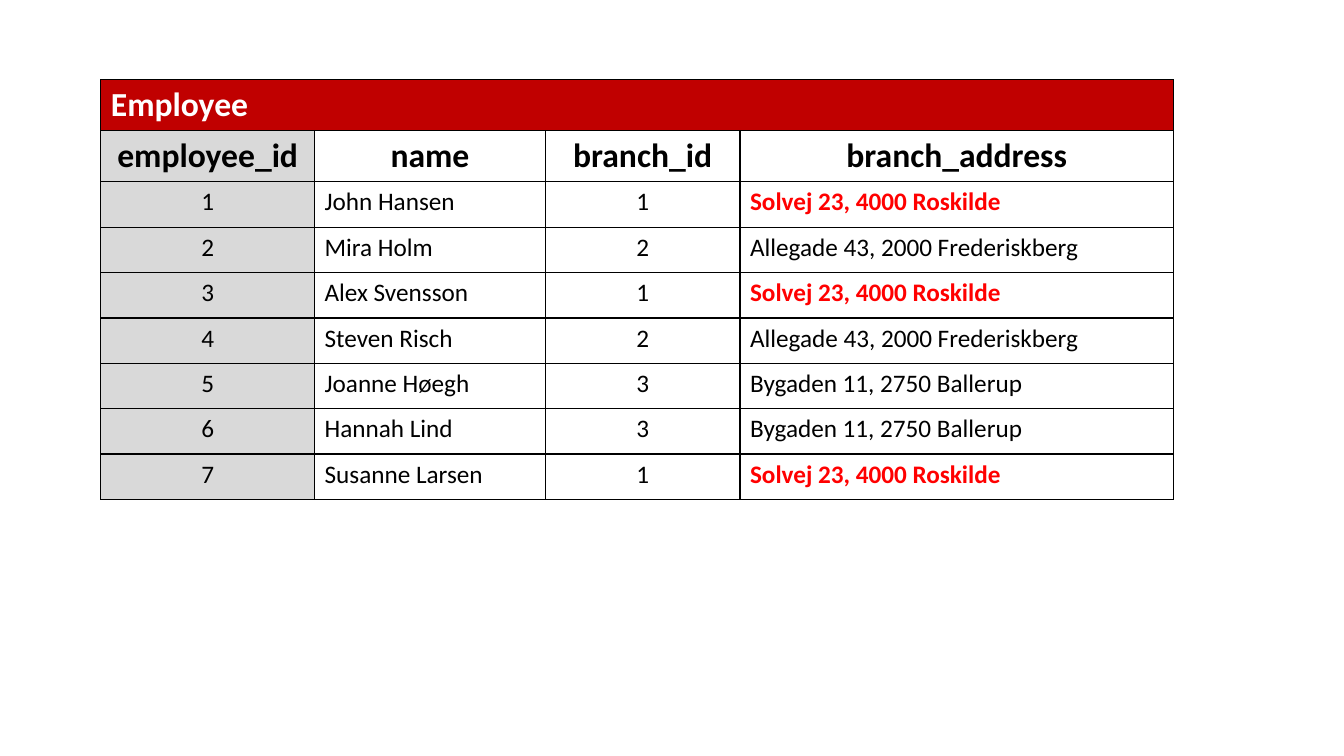
from lxml import etree
from pptx import Presentation
from pptx import util as u
from pptx.dml.color import RGBColor
from pptx.enum import text
from pptx.oxml import ns

BLACK = RGBColor(0x00, 0x00, 0x00)
WHITE = RGBColor(0xFF, 0xFF, 0xFF)
TITLE_RED = RGBColor(0xC0, 0x00, 0x00)
REPEAT_RED = RGBColor(0xFF, 0x00, 0x00)
KEY_GRAY = RGBColor(0xD9, 0xD9, 0xD9)

FONT = "Calibri"
SLIDE_SIZE = (13.33, 7.5)
TABLE_BOX = (1, 0.79, 10.64, 4.05)
COLUMN_WIDTHS = (2.12, 2.29, 1.93, 4.3)
HEADINGS = ("employee_id", "name", "branch_id", "branch_address")
BRANCHES = {
    1: "Solvej 23, 4000 Roskilde",
    2: "Allegade 43, 2000 Frederiskberg",
    3: "Bygaden 11, 2750 Ballerup",
}
REPEATED_BRANCH = 1
EMPLOYEES = (
    ("John Hansen", 1),
    ("Mira Holm", 2),
    ("Alex Svensson", 1),
    ("Steven Risch", 2),
    ("Joanne Høegh", 3),
    ("Hannah Lind", 3),
    ("Susanne Larsen", 1),
)


def write(cell, words, size=18, color=BLACK, bold=False, centred=False):
    para = cell.text_frame.paragraphs[0]
    para.alignment = text.PP_ALIGN.CENTER if centred else text.PP_ALIGN.LEFT
    span = para.add_run()
    span.text = words
    span.font.name = FONT
    span.font.size = u.Pt(size)
    span.font.bold = bold
    span.font.color.rgb = color


def draw_borders(cell):
    properties = cell._tc.get_or_add_tcPr()
    for side in ("L", "R", "T", "B"):
        line = etree.SubElement(properties, ns.qn(f"a:ln{side}"), w=str(u.Pt(1)))
        fill = etree.SubElement(line, ns.qn("a:solidFill"))
        etree.SubElement(fill, ns.qn("a:srgbClr"), val=str(BLACK))


def paint(cell, color=None):
    if color is None:
        cell.fill.background()
    else:
        cell.fill.solid()
        cell.fill.fore_color.rgb = color


def add_employee_table(page, box):
    row_count = len(EMPLOYEES) + 2
    frame = page.shapes.add_table(row_count, len(HEADINGS), *map(u.Inches, box))
    table = frame.table
    table.first_row = False
    table.horz_banding = False
    for column, width in zip(table.columns, COLUMN_WIDTHS):
        column.width = u.Inches(box[2] * width / sum(COLUMN_WIDTHS))

    for row in range(row_count):
        for column in range(len(HEADINGS)):
            cell = table.cell(row, column)
            draw_borders(cell)
            paint(cell, TITLE_RED if row == 0 else KEY_GRAY if column == 0 else None)

    title = table.cell(0, 0)
    title.merge(table.cell(0, len(HEADINGS) - 1))
    write(title, "Employee", size=24, color=WHITE, bold=True)
    for column, heading in enumerate(HEADINGS):
        write(table.cell(1, column), heading, size=24, bold=True, centred=True)

    for number, (name, branch) in enumerate(EMPLOYEES, start=1):
        key, person, branch_key, address = table.rows[number + 1].cells
        repeated = branch == REPEATED_BRANCH
        write(key, str(number), centred=True)
        write(person, name)
        write(branch_key, str(branch), centred=True)
        write(address, BRANCHES[branch], bold=repeated,
              color=REPEAT_RED if repeated else BLACK)


def main():
    deck = Presentation()
    deck.slide_width, deck.slide_height = map(u.Inches, SLIDE_SIZE)
    page = deck.slides.add_slide(deck.slide_layouts[6])
    add_employee_table(page, TABLE_BOX)
    deck.save("out.pptx")


if __name__ == "__main__":
    main()
